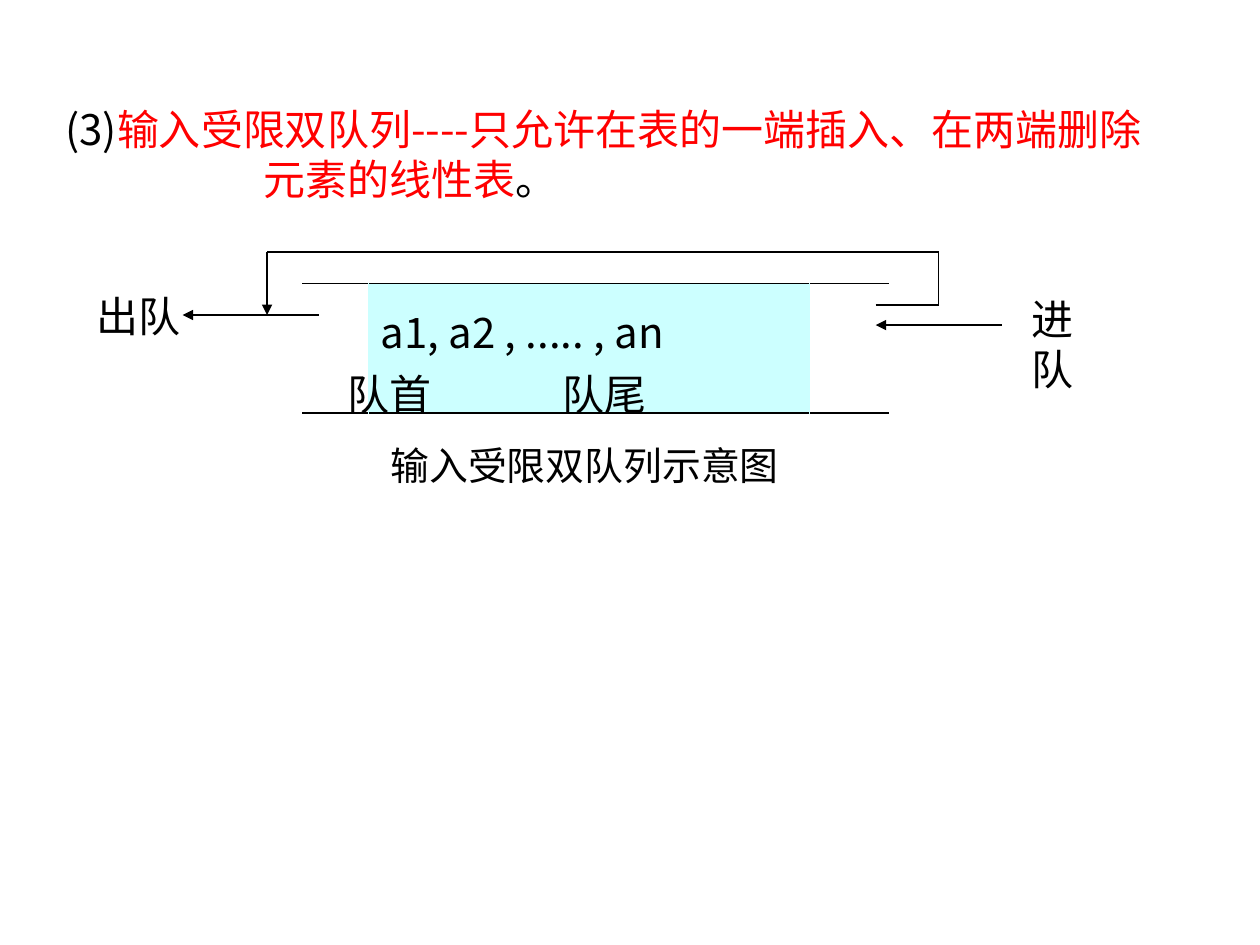
import pptx
import pptx.dml.color
import pptx.enum.shapes
import pptx.oxml
import pptx.oxml.ns
import pptx.util

PX = 9144  # 100 px to the inch
FONT = "Noto Sans CJK SC"
BLACK, RED, CYAN, WHITE = "000000", "FF0000", "CCFFFF", "FFFFFF"
NS = pptx.oxml.ns.nsdecls("a")
rgb = pptx.dml.color.RGBColor.from_string


def write(para, text, size=24, color=BLACK):
    """Append one formatted span to a paragraph."""
    span = para.add_run()
    span.text = text
    span.font.size = pptx.util.Pt(size)
    span.font.name = FONT
    span.font.color.rgb = rgb(color)
    east_asian = pptx.oxml.parse_xml(f'<a:ea {NS} typeface="{FONT}"/>')
    span.font._element.append(east_asian)


def add_box(page, left, top, width, height, wrap=True):
    """Add an empty text box and return its text frame."""
    box = page.shapes.add_textbox(left * PX, top * PX, width * PX, height * PX)
    box.text_frame.word_wrap = wrap
    return box.text_frame


deck = pptx.Presentation()
deck.slide_width, deck.slide_height = 1000 * PX, 750 * PX
page = deck.slides.add_slide(deck.slide_layouts[6])

# Queue drawn as a one-row table, open at both ends
widths = (53, 350, 64)
table = page.shapes.add_table(1, 3, 239 * PX, 225 * PX, sum(widths) * PX, 103 * PX).table
table.first_row = table.horz_banding = False
table.rows[0].height = 103 * PX
for index, (width, fill) in enumerate(zip(widths, (WHITE, CYAN, WHITE))):
    table.columns[index].width = width * PX
    cell = table.cell(0, index)
    left_edge = WHITE if index == 0 else CYAN
    right_edge = WHITE if index == 2 else CYAN
    borders = (("L", left_edge, 0.45), ("R", right_edge, 0.45),
               ("T", BLACK, 1.08), ("B", BLACK, 1.08))
    cell_format = cell._tc.get_or_add_tcPr()
    for side, color, points in borders:
        cell_format.append(pptx.oxml.parse_xml(
            f'<a:ln{side} {NS} w="{pptx.util.Pt(points)}"><a:solidFill>'
            f'<a:srgbClr val="{color}"/></a:solidFill></a:ln{side}>'))
    cell.fill.solid()
    cell.fill.fore_color.rgb = rgb(fill)

queue = table.cell(0, 1)
queue.margin_top = 13 * PX
write(queue.text_frame.paragraphs[0], "a1, a2 , ..... , an")

# Labels beside and below the queue
write(add_box(page, 809, 228, 86, 50, wrap=False).paragraphs[0], "进队")
write(add_box(page, 67, 226, 95, 50).paragraphs[0], "出队")
caption = add_box(page, 300, 350, 383, 50).paragraphs[0]
caption.line_spacing = 0.9
write(caption, "输入受限双队列示意图", size=22.2)

# Enqueue, dequeue and the path from the tail round to the exit
lines = (
    (795, 258, 695, 258, True),
    (212, 200, 745, 200, False),
    (695, 242, 745, 242, False),
    (745, 200, 745, 242, False),
    (253, 250, 145, 250, True),
    (212, 200, 212, 250, True),
)
for x1, y1, x2, y2, arrow in lines:
    line = page.shapes.add_connector(
        pptx.enum.shapes.MSO_CONNECTOR.STRAIGHT, x1 * PX, y1 * PX, x2 * PX, y2 * PX)
    line.line.color.rgb = rgb(BLACK)
    line.line.width = pptx.util.Pt(0.75)
    if arrow:
        line.line._get_or_add_ln().append(
            pptx.oxml.parse_xml(f'<a:tailEnd {NS} type="triangle"/>'))
    line._element.spPr.append(pptx.oxml.parse_xml(f"<a:effectLst {NS}/>"))

# Definition
definition = add_box(page, 42, 77, 908, 90)
first = definition.paragraphs[0]
write(first, "(3)")
write(first, "输入受限双队列----只允许在表的一端插入、在两端删除", color=RED)
second = definition.add_paragraph()
second._p.get_or_add_pPr().set("marL", str(157 * PX))
write(second, "元素的线性表", color=RED)
write(second, "。")

# Head and tail, set apart by a tab stop
ends = add_box(page, 266, 292, 417, 46).paragraphs[0]
ends._p.get_or_add_pPr().append(pptx.oxml.parse_xml(
    f'<a:tabLst {NS}><a:tab pos="{171 * PX}" algn="l"/></a:tabLst>'))
ends.line_spacing = 0.9
write(ends, "队首\t队尾")

deck.save("out.pptx")
